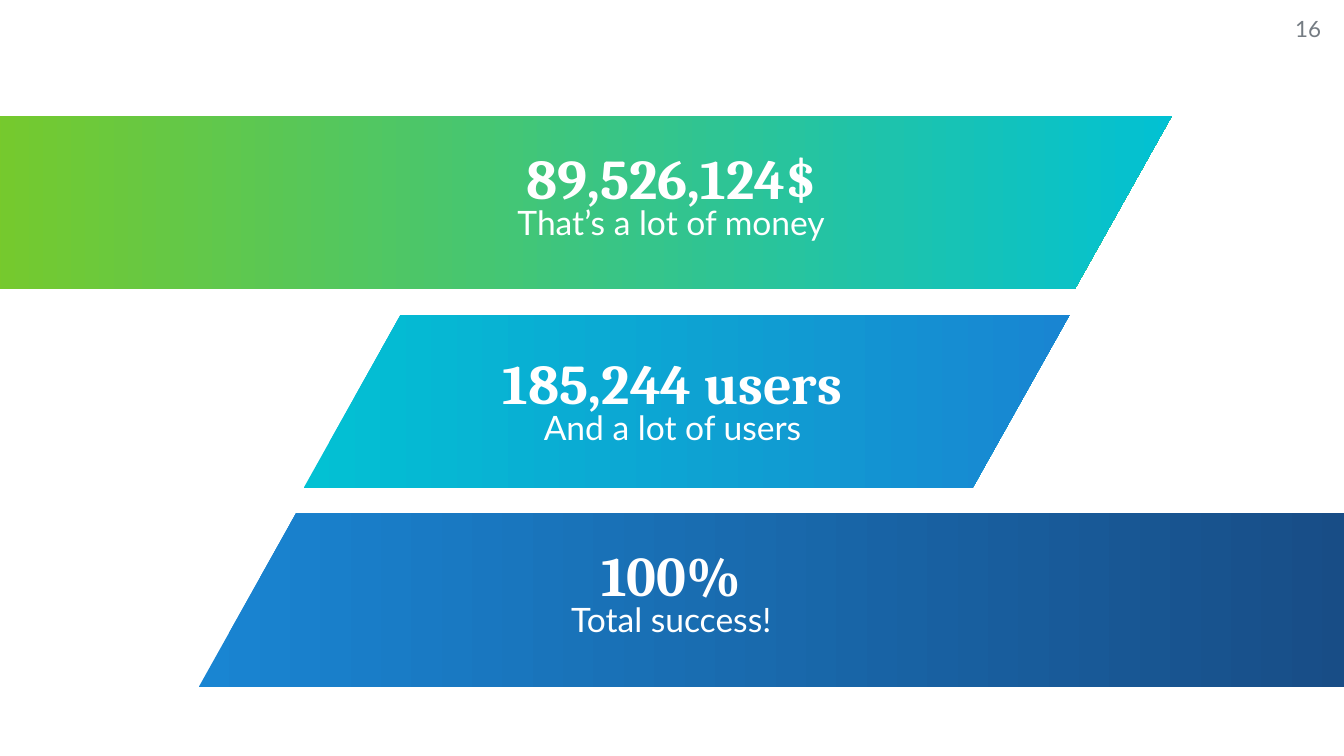
"""Build a slide with three slanted gradient bands, each holding a big figure."""
from pptx import Presentation
from pptx.dml.color import RGBColor
from pptx.enum.shapes import MSO_SHAPE
from pptx.enum.text import MSO_ANCHOR, PP_ALIGN
from pptx.util import Inches, Pt


def color(hex_string):
    return RGBColor.from_string(hex_string)


def add_text(slide, box, text, size, font, hex_string, align=PP_ALIGN.CENTER,
             anchor=MSO_ANCHOR.MIDDLE, bold=False, line_spacing=1.0, space_before=0):
    shape = slide.shapes.add_textbox(*[Inches(length) for length in box])
    frame = shape.text_frame
    frame.word_wrap = True
    frame.vertical_anchor = anchor
    frame.margin_left = frame.margin_right = frame.margin_top = frame.margin_bottom = 0
    paragraph = frame.paragraphs[0]
    paragraph.alignment = align
    paragraph.line_spacing = line_spacing
    paragraph.space_before = Pt(space_before)
    run = paragraph.add_run()
    run.text = text
    run.font.size = Pt(size)
    run.font.name = font
    run.font.bold = bold
    run.font.color.rgb = color(hex_string)


presentation = Presentation()
presentation.slide_width = Inches(10)
presentation.slide_height = Inches(10 * 9 / 16)
slide = presentation.slides.add_slide(presentation.slide_layouts[6])

GREEN, TURQUOISE, BLUE, NAVY, WHITE = "7FCA20", "02C1D3", "1985D2", "184880", "FFFFFF"
BAND_TOP, BAND_STEP, BAND_HEIGHT = 0.86, 1.48, 1.29
TEXT_WIDTH, CAPTION_HEIGHT = 3.63, 0.57

bands = [
    (-0.73, 9.45, GREEN, TURQUOISE),
    (2.26, 5.7, TURQUOISE, BLUE),
    (1.48, 9.26, BLUE, NAVY),
]
for index, (left, width, start, end) in enumerate(bands):
    shape = slide.shapes.add_shape(
        MSO_SHAPE.PARALLELOGRAM, Inches(left), Inches(BAND_TOP + index * BAND_STEP),
        Inches(width), Inches(BAND_HEIGHT))
    shape.adjustments[0] = 0.56
    shape.shadow.inherit = False
    shape.line.fill.background()
    shape.fill.gradient()
    shape.fill.gradient_angle = 0
    for stop, hex_string in zip(shape.fill.gradient_stops, (start, end)):
        stop.color.rgb = color(hex_string)

figures = [
    ("89,526,124$", "That’s a lot of money", 3.18, 1.11, 0.48, 1.46),
    ("100%", "Total success!", 3.18, 4.11, 0.39, 4.41),
    ("185,244 users", "And a lot of users", 3.19, 2.59, 0.57, 2.98),
]
for figure, caption, left, top, height, caption_top in figures:
    add_text(slide, (left, top, TEXT_WIDTH, height), figure, 30, "Cambria", WHITE,
             bold=True, line_spacing=0.9)
    add_text(slide, (left, caption_top, TEXT_WIDTH, CAPTION_HEIGHT), caption, 18, "Lato",
             WHITE, anchor=MSO_ANCHOR.TOP, line_spacing=1.15, space_before=6)

add_text(slide, (9.36, 0, 0.47, 0.43), "16", 12, "Lato", "757C83", align=PP_ALIGN.RIGHT)

presentation.save("out.pptx")
